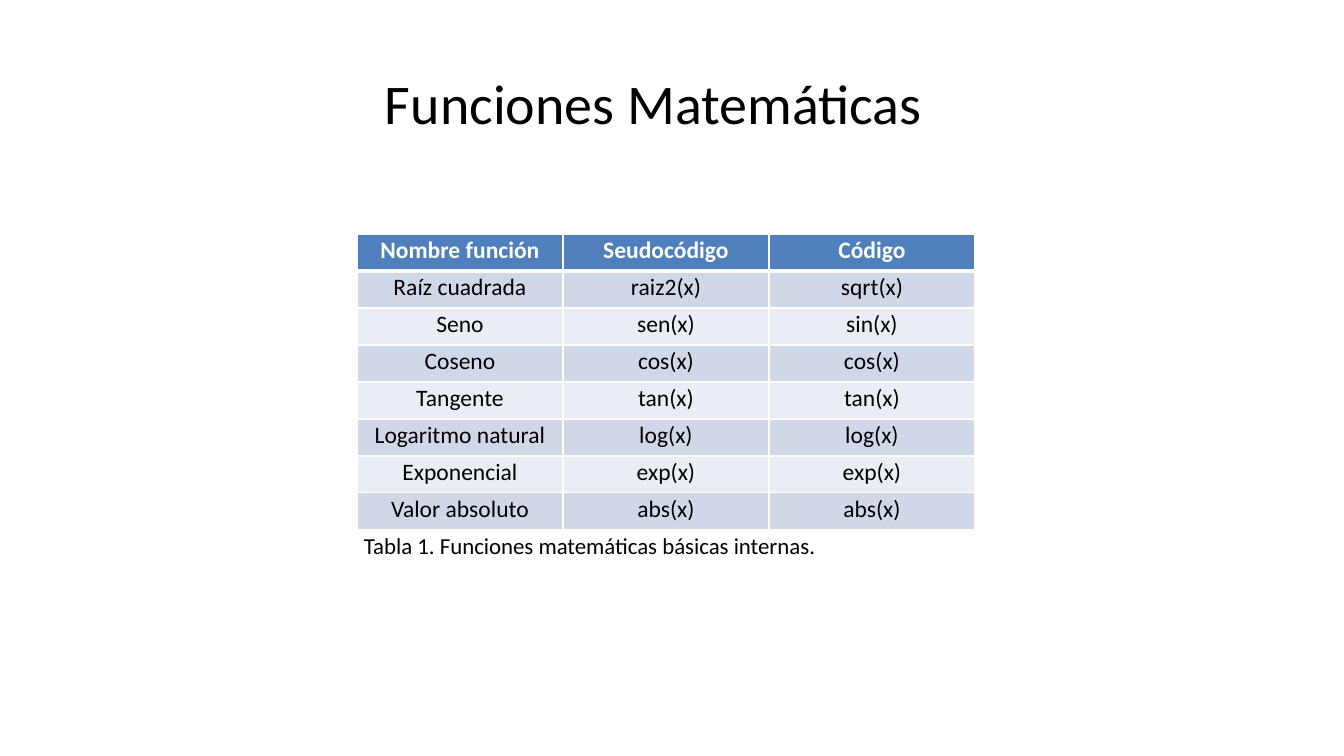
from lxml import etree
from pptx import Presentation
from pptx.dml.color import RGBColor
from pptx.enum.text import MSO_ANCHOR as Anchor, PP_ALIGN as Align
from pptx.oxml.ns import qn
from pptx.util import Pt

# Content
TITLE = "Funciones Matemáticas"
CAPTION = "Tabla 1. Funciones matemáticas básicas internas."
ROWS = [
    ("Nombre función", "Seudocódigo", "Código"),
    ("Raíz cuadrada", "raiz2(x)", "sqrt(x)"),
    ("Seno", "sen(x)", "sin(x)"),
    ("Coseno", "cos(x)", "cos(x)"),
    ("Tangente", "tan(x)", "tan(x)"),
    ("Logaritmo natural", "log(x)", "log(x)"),
    ("Exponencial", "exp(x)", "exp(x)"),
    ("Valor absoluto", "abs(x)", "abs(x)"),
]

# Look: lengths in px, type and line widths in points
COLORS = {"text": "000000", "white": "FFFFFF", "header": "4F80BC",
          "odd": "D0D8E8", "even": "E9EDF4"}
PX = 914400 / 121
SLIDE_SIZE = (1344, 756)
TITLE_BOX = (385, 41, 555, 97)
CAPTION_BOX = (364, 531, 456, 29)
TABLE_LEFT, TABLE_TOP = 357, 234
COLUMN_WIDTH, ROW_HEIGHT = 206, 37
RULE_WIDTHS = [1.5, 3, 1, 1.5, 1, 1, 1.5, 1, 1]  # above each row, then below the last
SIDE_WIDTH = 1


def px(length):
    return round(length * PX)


def write(paragraph, text, color="text", **formats):
    run = paragraph.add_run()
    run.text = text
    for name, value in {"name": "Calibri", **formats}.items():
        setattr(run.font, name, value)
    run.font.color.rgb = RGBColor.from_string(COLORS[color])


def set_margins(target, top):
    margins = {"left": 0, "top": px(top), "right": 0, "bottom": 0}
    for side, value in margins.items():
        setattr(target, f"margin_{side}", value)


def add_text(slide, box, text, size, top):
    frame = slide.shapes.add_textbox(*map(px, box)).text_frame
    frame.word_wrap = True
    set_margins(frame, top)
    write(frame.paragraphs[0], text, size=Pt(size))


def set_borders(cell, widths):
    properties = cell._tc.get_or_add_tcPr()
    for index, (side, width) in enumerate(widths.items()):
        line = etree.Element(qn(f"a:ln{side}"), w=str(Pt(width)))
        fill = etree.SubElement(line, qn("a:solidFill"))
        etree.SubElement(fill, qn("a:srgbClr"), val=COLORS["white"])
        properties.insert(index, line)


def add_function_table(slide):
    columns = len(ROWS[0])
    table = slide.shapes.add_table(
        len(ROWS), columns, px(TABLE_LEFT), px(TABLE_TOP),
        px(COLUMN_WIDTH * columns), px(ROW_HEIGHT * len(ROWS))).table
    table.horz_banding = False
    for column in table.columns:
        column.width = px(COLUMN_WIDTH)
    for index, texts in enumerate(ROWS):
        table.rows[index].height = px(ROW_HEIGHT)
        header = index == 0
        band = "header" if header else "odd" if index % 2 else "even"
        for position, text in enumerate(texts):
            cell = table.cell(index, position)
            cell.vertical_anchor = Anchor.TOP
            set_margins(cell, 2)
            cell.fill.solid()
            cell.fill.fore_color.rgb = RGBColor.from_string(COLORS[band])
            set_borders(cell, {"L": SIDE_WIDTH, "R": SIDE_WIDTH,
                               "T": RULE_WIDTHS[index], "B": RULE_WIDTHS[index + 1]})
            paragraph = cell.text_frame.paragraphs[0]
            paragraph.alignment = Align.CENTER
            write(paragraph, text, "white" if header else "text",
                  size=Pt(14), bold=header)


def main():
    presentation = Presentation()
    presentation.slide_width, presentation.slide_height = map(px, SLIDE_SIZE)
    slide = presentation.slides.add_slide(presentation.slide_layouts[6])

    # Title, table and its caption
    add_text(slide, TITLE_BOX, TITLE, 33.3, 28)
    add_function_table(slide)
    add_text(slide, CAPTION_BOX, CAPTION, 13.6, 1)

    presentation.save("out.pptx")


if __name__ == "__main__":
    main()
